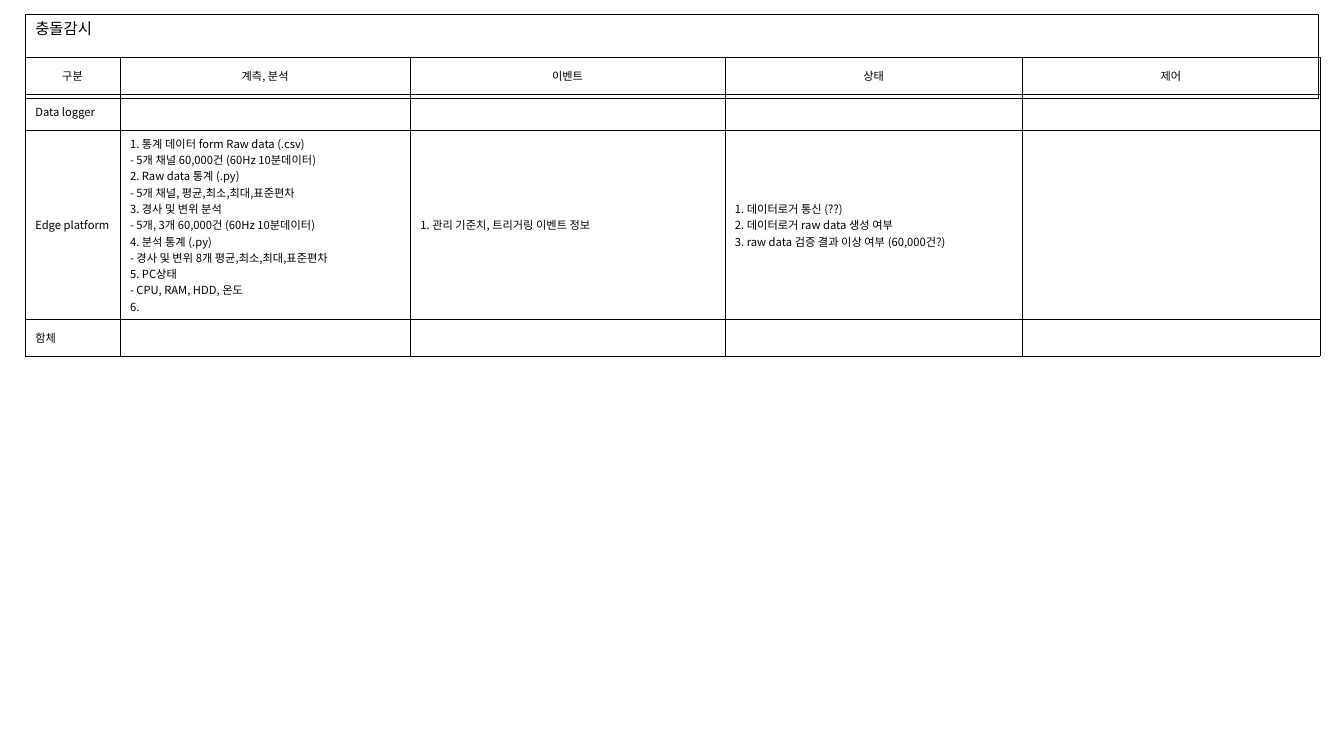
from lxml import etree
from pptx import Presentation
from pptx.dml.color import RGBColor
from pptx.enum.text import MSO_ANCHOR, MSO_AUTO_SIZE, PP_ALIGN
from pptx.oxml.ns import qn
from pptx.util import Inches, Pt

TITLE = "충돌감시"
HEADS = ["구분", "계측, 분석", "이벤트", "상태", "제어"]
STATS = [
    "1. 통계 데이터 form Raw data (.csv)",
    "- 5개 채널 60,000건 (60Hz 10분데이터)",
    "2. Raw data 통계 (.py)",
    "- 5개 채널, 평균,최소,최대,표준편차",
    "3. 경사 및 변위 분석",
    "- 5개, 3개 60,000건 (60Hz 10분데이터)",
    "4. 분석 통계 (.py)",
    "- 경사 및 변위 8개 평균,최소,최대,표준편차",
    "5. PC상태",
    "- CPU, RAM, HDD, 온도",
    "6.",
]
EVENTS = ["1. 관리 기준치, 트리거링 이벤트 정보"]
STATES = [
    "1. 데이터로거 통신 (??)",
    "2. 데이터로거 raw data 생성 여부",
    "3. raw data 검증 결과 이상 여부 (60,000건?)",
]
ROWS = [
    [[head] for head in HEADS],
    [["Data logger"], [], [], [], []],
    [["Edge platform"], STATS, EVENTS, STATES, []],
    [["함체"], [], [], [], []],
]
WIDTHS = [0.94, 2.88, 3.12, 2.95, 2.95]
HEIGHTS = [0.36, 0.36, 1.88, 0.36]
LEFT, WIDTH = 0.25, 12.83

FONT = "Noto Sans CJK KR"
BLACK = RGBColor(0, 0, 0)
CENTER, START = PP_ALIGN.CENTER, PP_ALIGN.LEFT
TOP, MIDDLE = MSO_ANCHOR.TOP, MSO_ANCHOR.MIDDLE
GROW = MSO_AUTO_SIZE.SHAPE_TO_FIT_TEXT


def write(frame, lines, size, align):
    frame.text = "\n".join(lines)
    for para in frame.paragraphs:
        para.alignment = align
        font = para.font
        font.name, font.size = FONT, Pt(size)
        font.color.rgb = BLACK
        props = para._p.pPr.find(qn("a:defRPr"))
        etree.SubElement(props, qn("a:ea"), typeface=FONT)
        etree.SubElement(para._p, qn("a:endParaRPr"), sz=str(size * 100))


def border(cell):
    props = cell._tc.get_or_add_tcPr()
    for i, side in enumerate(("lnL", "lnR", "lnT", "lnB")):
        line = etree.Element(qn("a:" + side), w=str(Pt(0.25)))
        fill = etree.SubElement(line, qn("a:solidFill"))
        etree.SubElement(fill, qn("a:srgbClr"), val=str(BLACK))
        props.insert(i, line)


def add_title(slide):
    title = slide.shapes.title
    title.left, title.top = Inches(LEFT), Inches(0.14)
    title.width, title.height = Inches(WIDTH), Inches(0.29)
    title.line.color.rgb = BLACK
    title.line.width = Pt(0.75)
    frame = title.text_frame
    write(frame, [TITLE], 11, START)
    frame.vertical_anchor = TOP
    frame.word_wrap = True
    frame.auto_size = GROW


def add_grid(slide):
    table = slide.shapes.add_table(
        len(ROWS), len(HEADS), Inches(LEFT), Inches(0.57),
        Inches(WIDTH), Inches(sum(HEIGHTS))).table
    table.first_row = table.horz_banding = False
    for col, width in zip(table.columns, WIDTHS):
        col.width = Inches(width)
    for row, height in zip(table.rows, HEIGHTS):
        row.height = Inches(height)
    for r, row in enumerate(ROWS):
        for c, lines in enumerate(row):
            cell = table.cell(r, c)
            cell.fill.background()
            cell.vertical_anchor = MIDDLE
            write(cell.text_frame, lines, 8, START if r else CENTER)
            border(cell)


def main():
    deck = Presentation()
    deck.slide_width, deck.slide_height = Inches(13.33), Inches(7.5)
    slide = deck.slides.add_slide(deck.slide_layouts[5])
    add_title(slide)
    add_grid(slide)
    deck.save("out.pptx")


if __name__ == "__main__":
    main()
